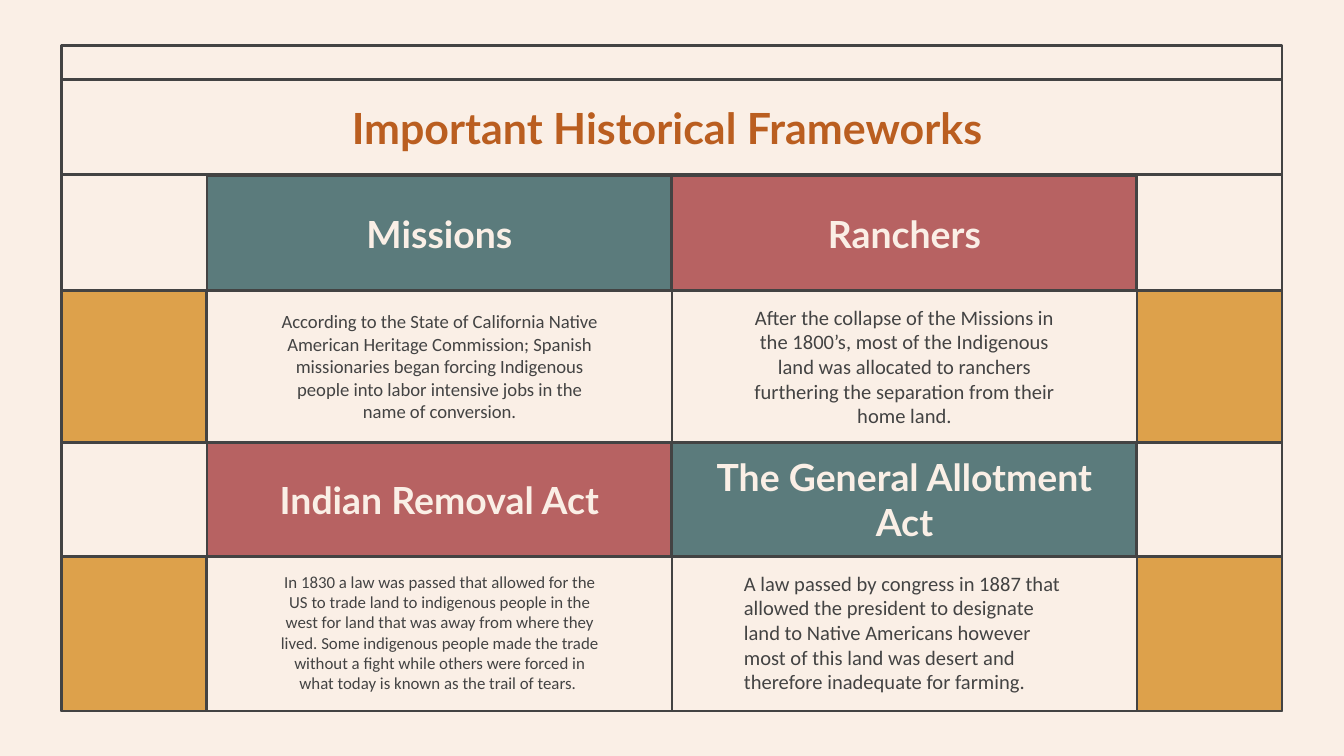
import dataclasses

import lxml.etree
import pptx
import pptx.dml.color
import pptx.enum.shapes
import pptx.enum.text
import pptx.oxml.ns
import pptx.util

Inches = pptx.util.Inches
Align = pptx.enum.text.PP_ALIGN


@dataclasses.dataclass(frozen=True)
class Theme:
    cream: str = "FAEFE6"
    ink: str = "434343"
    gold: str = "DDA14B"
    teal: str = "5B7B7C"
    rose: str = "B76262"
    rust: str = "BA5E20"
    heading_font: str = "Lato"
    body_font: str = "Calibri"
    title_size: float = 23
    heading_size: float = 20
    large_body: float = 11
    medium_body: float = 10
    small_body: float = 9
    stroke: float = 1.5


def color(value):
    return pptx.dml.color.RGBColor.from_string(value)


def write_text(shape, text, *, font, size, ink, bold=False, align=Align.CENTER):
    frame = shape.text_frame
    frame.word_wrap = True
    frame.auto_size = pptx.enum.text.MSO_AUTO_SIZE.NONE
    frame.vertical_anchor = pptx.enum.text.MSO_ANCHOR.MIDDLE
    frame.margin_left = frame.margin_right = Inches(0.1)
    frame.margin_top = frame.margin_bottom = Inches(0.1)
    para = frame.paragraphs[0]
    para.alignment = align
    para.line_spacing = 1.0
    para.space_before = para.space_after = pptx.util.Pt(0)
    properties = para._p.get_or_add_pPr()
    properties.set("marL", "0")
    properties.set("indent", "0")
    lxml.etree.SubElement(properties, pptx.oxml.ns.qn("a:buNone"))
    span = para.add_run()
    span.text = text
    span.font.name = font
    span.font.size = pptx.util.Pt(size)
    span.font.bold = bold
    span.font.color.rgb = color(ink)


class PageBuilder:
    def __init__(self, page, theme):
        self.page = page
        self.theme = theme
        page.background.fill.solid()
        page.background.fill.fore_color.rgb = color(theme.cream)

    def stroke(self, line):
        line.color.rgb = color(self.theme.ink)
        line.width = pptx.util.Pt(self.theme.stroke)

    def box(self, left, top, width, height, fill=None):
        box = self.page.shapes.add_shape(
            pptx.enum.shapes.MSO_SHAPE.RECTANGLE,
            Inches(left), Inches(top), Inches(width), Inches(height))
        box.shadow.inherit = False
        if fill:
            box.fill.solid()
            box.fill.fore_color.rgb = color(fill)
        else:
            box.fill.background()
        self.stroke(box.line)
        return box

    def rule(self, x1, y1, x2, y2):
        rule = self.page.shapes.add_connector(
            pptx.enum.shapes.MSO_CONNECTOR.STRAIGHT,
            Inches(x1), Inches(y1), Inches(x2), Inches(y2))
        self.stroke(rule.line)
        lxml.etree.SubElement(
            rule._element.spPr, pptx.oxml.ns.qn("a:effectLst"))

    def place(self, holder, left, top, width, height):
        holder.left, holder.top = Inches(left), Inches(top)
        holder.width, holder.height = Inches(width), Inches(height)

    def title(self, text, *area):
        holder = self.page.shapes.title
        self.place(holder, *area)
        holder.fill.solid()
        holder.fill.fore_color.rgb = color(self.theme.cream)
        write_text(holder, text, font=self.theme.heading_font, bold=True,
                   size=self.theme.title_size, ink=self.theme.rust)

    def heading(self, text, fill, *area):
        write_text(self.box(*area, fill=fill), text, bold=True,
                   font=self.theme.heading_font,
                   size=self.theme.heading_size, ink=self.theme.cream)

    def body(self, index, text, size, align, *area):
        holder = self.page.placeholders[index]
        self.place(holder, *area)
        write_text(holder, text, font=self.theme.body_font, size=size,
                   ink=self.theme.ink, align=align)


def main():
    deck = pptx.Presentation()
    deck.slide_width = Inches(10)
    deck.slide_height = deck.slide_width * 9 // 16
    theme = Theme()
    comparison_layout = deck.slide_layouts[4]
    builder = PageBuilder(deck.slides.add_slide(comparison_layout), theme)

    left, right, top, bottom = 0.46, 9.54, 0.34, 5.29
    columns = (1.54, 5, 8.46)
    column_width, side_width = 3.46, 1.08
    rows = (1.31, 3.29)
    heading_height = 0.85
    body_width, body_height = 2.59, 0.65
    body_inset = (column_width - body_width) / 2

    for side in (left, columns[-1]):
        for row, row_end in zip(rows, (rows[1], bottom)):
            gold_top = row + heading_height
            builder.box(side, gold_top, side_width, row_end - gold_top,
                        fill=theme.gold)
    builder.box(left, top, right - left, bottom - top)
    for x in columns:
        builder.rule(x, rows[0], x, bottom)
    for y in (0.59, 1.3, rows[1]):
        builder.rule(left, y, right, y)

    builder.title("Important Historical Frameworks ", 0.79, 0.68, 8.43, 0.53)
    topics = (
        ("Missions", theme.teal, theme.medium_body, Align.CENTER,
         "According to the State of California Native American Heritage "
         "Commission; Spanish missionaries began forcing Indigenous people "
         "into labor intensive jobs in the name of conversion."),
        ("Ranchers", theme.rose, theme.large_body, Align.CENTER,
         "After the collapse of the Missions in the 1800’s, most of the "
         "Indigenous land was allocated to ranchers furthering the "
         "separation from their home land."),
        ("Indian Removal Act", theme.rose, theme.small_body, Align.CENTER,
         "In 1830 a law was passed that allowed for the US to trade land to "
         "indigenous people in the west for land that was away from where "
         "they lived. Some indigenous people made the trade without a fight "
         "while others were forced in what today is known as the trail of "
         "tears. "),
        ("The General Allotment Act", theme.teal, theme.large_body, Align.LEFT,
         "A law passed by congress in 1887 that allowed the president to "
         "designate land to Native Americans however most of this land was "
         "desert and therefore inadequate for farming."),
    )
    for number, (name, fill, size, align, text) in enumerate(topics):
        row, column = divmod(number, 2)
        x, y = columns[column], rows[row]
        builder.heading(name, fill, x, y, column_width, heading_height)
        builder.body(number + 1, text, size, align,
                     x + body_inset, y + 1.09, body_width, body_height)

    deck.save("out.pptx")


if __name__ == "__main__":
    main()
